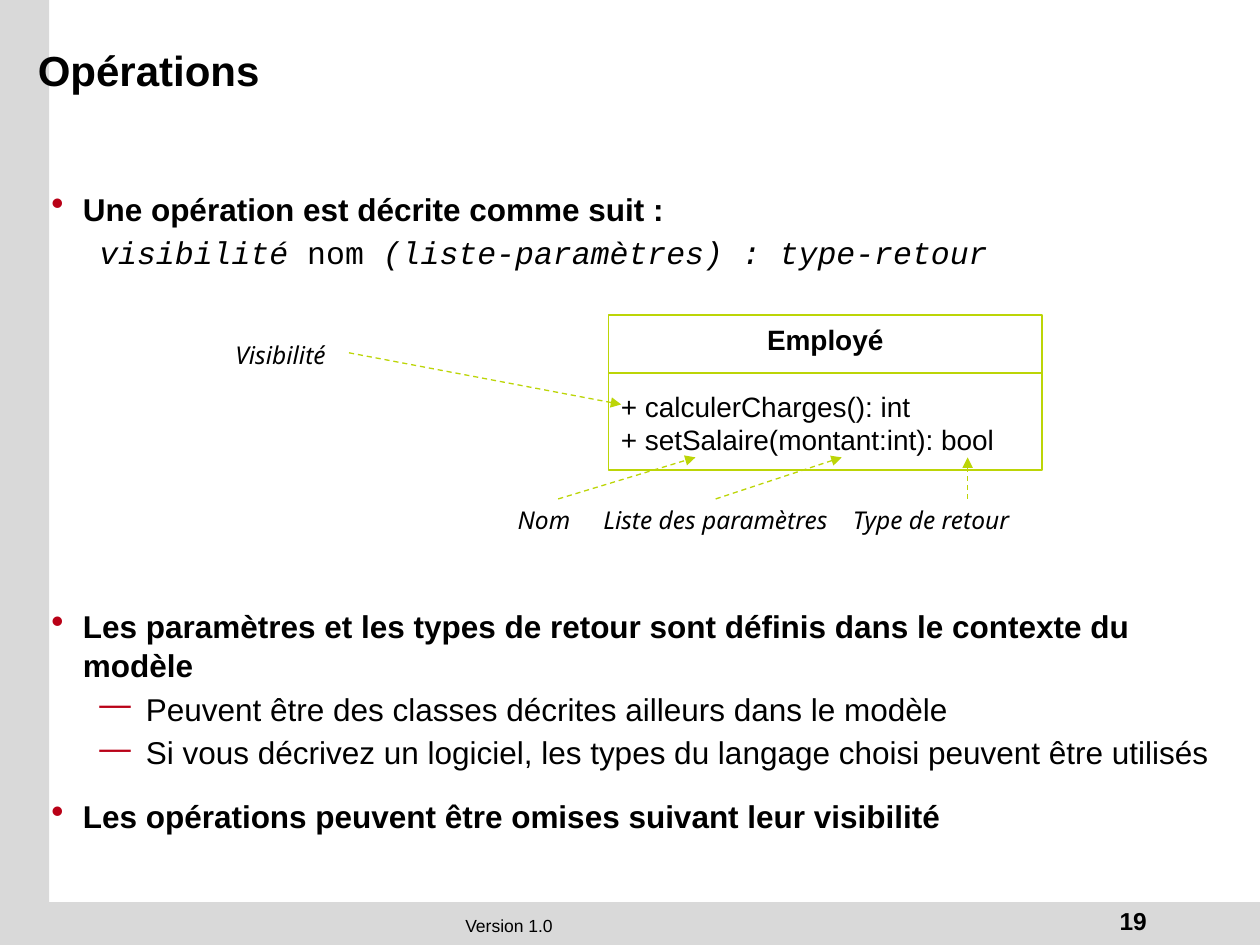
from typing import NamedTuple

from lxml.etree import SubElement
from pptx import Presentation
from pptx.dml.color import RGBColor
from pptx.enum.dml import MSO_LINE_DASH_STYLE as Dash
from pptx.enum.shapes import MSO_CONNECTOR as Conn, MSO_SHAPE as Shape
from pptx.enum.text import MSO_ANCHOR as Anchor, MSO_AUTO_SIZE as Fit, PP_ALIGN as Align
from pptx.oxml.ns import qn
from pptx.util import Inches, Pt

HUES = {"text": "000000", "band": "D9D9D9", "lime": "BCD507", "red": "B90117", "white": "FFFFFF"}


class Note(NamedTuple):
    text: str
    left: float
    top: float
    width: float


class Arrow(NamedTuple):
    x1: float
    y1: float
    x2: float
    y2: float


class Item(NamedTuple):
    runs: list
    mark: str = ""
    level: int = 0
    gap: float = 0


NOTES = [
    Note("Visibilité", 1.77, 2.65, 1.13),
    Note("Nom", 4.01, 3.96, 0.65),
    Note("Liste des paramètres", 4.69, 3.96, 2.05),
    Note("Type de retour", 6.67, 3.96, 1.5),
]
ARROWS = [
    Arrow(2.77, 2.8, 4.93, 3.21),
    Arrow(5.68, 3.96, 6.68, 3.63),
    Arrow(7.68, 3.96, 7.68, 3.63),
    Arrow(4.43, 3.96, 5.52, 3.63),
]
BOLD = {"bold": True}
CODE = {"font": "Courier New"}
SLANT = {"font": "Courier New", "italic": True}
ITEMS = [
    Item([("Une opération est décrite comme suit :", BOLD)], "•"),
    Item([("visibilité ", SLANT), ("nom", CODE),
          (" (liste-paramètres) : type-retour", SLANT)], level=1, gap=2),
    Item([("Les paramètres et les types de retour sont définis dans le contexte du modèle", BOLD)],
         "•", gap=191),
    Item([("Peuvent être des classes décrites ailleurs dans le modèle", {})], "—", 1, 2),
    Item([("Si vous décrivez un logiciel, les types du langage choisi peuvent être utilisés", {})],
         "—", 1, 2),
    Item([("Les opérations peuvent être omises suivant leur visibilité", BOLD)], "•", gap=14),
]


def color(name: str) -> RGBColor:
    return RGBColor.from_string(HUES[name])


def write(para, text: str, size: float = 18, font: str = "Arial", bold: bool = False,
          italic: bool = False, align=Align.LEFT) -> None:
    para.alignment = align
    run = para.add_run()
    run.text = text
    face = run.font
    face.name, face.size, face.bold, face.italic = font, Pt(size), bold, italic
    face.color.rgb = color("text")


def add_box(slide, left: float, top: float, width: float, height: float):
    frame = slide.shapes.add_textbox(
        Inches(left), Inches(top), Inches(width), Inches(height)).text_frame
    frame.word_wrap = True
    return frame


def add_rect(slide, left: float, top: float, width: float, height: float,
             fill: str, edge: str = ""):
    rect = slide.shapes.add_shape(
        Shape.RECTANGLE, Inches(left), Inches(top), Inches(width), Inches(height))
    rect.shadow.inherit = False
    rect.fill.solid()
    rect.fill.fore_color.rgb = color(fill)
    if edge:
        rect.line.color.rgb = color(edge)
        rect.line.width = Pt(0.75)
    else:
        rect.line.fill.background()
    return rect


def add_line(slide, x1: float, y1: float, x2: float, y2: float, arrow: bool = False) -> None:
    link = slide.shapes.add_connector(
        Conn.STRAIGHT, Inches(x1), Inches(y1), Inches(x2), Inches(y2))
    link.line.color.rgb = color("lime")
    link.line.width = Pt(0.75)
    if arrow:
        link.line.dash_style = Dash.DASH
        SubElement(link.line._get_or_add_ln(), qn("a:tailEnd"), type="triangle")
    SubElement(link._element.spPr, qn("a:effectLst"))


def set_mark(para, item: Item) -> None:
    props = para._p.get_or_add_pPr()
    left, hang = [(0.25, 0.25), (0.75, 0.37)][item.level]
    props.set("marL", str(Inches(left)))
    props.set("indent", str(-Inches(hang)))
    if item.mark:
        tint = SubElement(props, qn("a:buClr"))
        SubElement(tint, qn("a:srgbClr"), val=HUES["red"])
        if item.level == 0:
            SubElement(props, qn("a:buSzPct"), val="115000")
        SubElement(props, qn("a:buChar"), char=item.mark)
    else:
        SubElement(props, qn("a:buNone"))


def add_items(frame, items: list[Item]) -> None:
    for i, item in enumerate(items):
        para = frame.add_paragraph() if i else frame.paragraphs[0]
        para.level = item.level
        set_mark(para, item)
        para.line_spacing = 1.05
        if item.gap:
            para.space_before = Pt(item.gap)
        for text, style in item.runs:
            write(para, text, **style)


def add_class(slide, name: str, methods: list[str]) -> None:
    left, top, width = 4.83, 2.5, 3.44
    frame = add_rect(slide, left, top, width, 1.23, "white", "lime").text_frame
    frame.vertical_anchor = Anchor.TOP
    frame.margin_top = Inches(0.06)
    write(frame.paragraphs[0], name, size=16, bold=True, align=Align.CENTER)
    for i, method in enumerate(methods):
        para = frame.add_paragraph()
        if i == 0:
            para.space_before = Pt(19)
        write(para, method, size=16)
    add_line(slide, left, top + 0.46, left + width, top + 0.46)


def main() -> None:
    deck = Presentation()
    deck.slide_width, deck.slide_height = Inches(10), Inches(7.5)
    slide = deck.slides.add_slide(deck.slide_layouts[5])

    # Side and bottom bands
    add_rect(slide, 0, 0, 0.39, 7.5, "band")
    add_rect(slide, 0, 7.16, 10, 0.34, "band")

    # Footer
    write(add_box(slide, 0.11, 7.21, 7.86, 0.27).paragraphs[0], "Version 1.0",
          size=10, align=Align.CENTER)
    write(add_box(slide, 7.62, 7.14, 1.58, 0.33).paragraphs[0], "19",
          size=14, bold=True, align=Align.RIGHT)

    # Title, brought in front of the bands
    title = slide.shapes.title
    slide.shapes._spTree.append(title._element)
    title.left, title.top = Inches(0.2), Inches(0.16)
    title.width, title.height = Inches(8.52), Inches(0.79)
    title.text_frame.auto_size = Fit.NONE
    title.text_frame.vertical_anchor = Anchor.MIDDLE
    write(title.text_frame.paragraphs[0], "Opérations", size=24, bold=True)

    # Body text
    add_items(add_box(slide, 0.31, 1.44, 9.4, 5.15), ITEMS)

    # Class diagram with its labels
    add_class(slide, "Employé", ["+ calculerCharges(): int", "+ setSalaire(montant:int): bool"])
    for note in NOTES:
        frame = add_box(slide, note.left, note.top, note.width, 0.4)
        write(frame.paragraphs[0], note.text, size=14, font="Noto Sans", italic=True)
    for arrow in ARROWS:
        add_line(slide, *arrow, arrow=True)

    deck.save("out.pptx")


if __name__ == "__main__":
    main()
